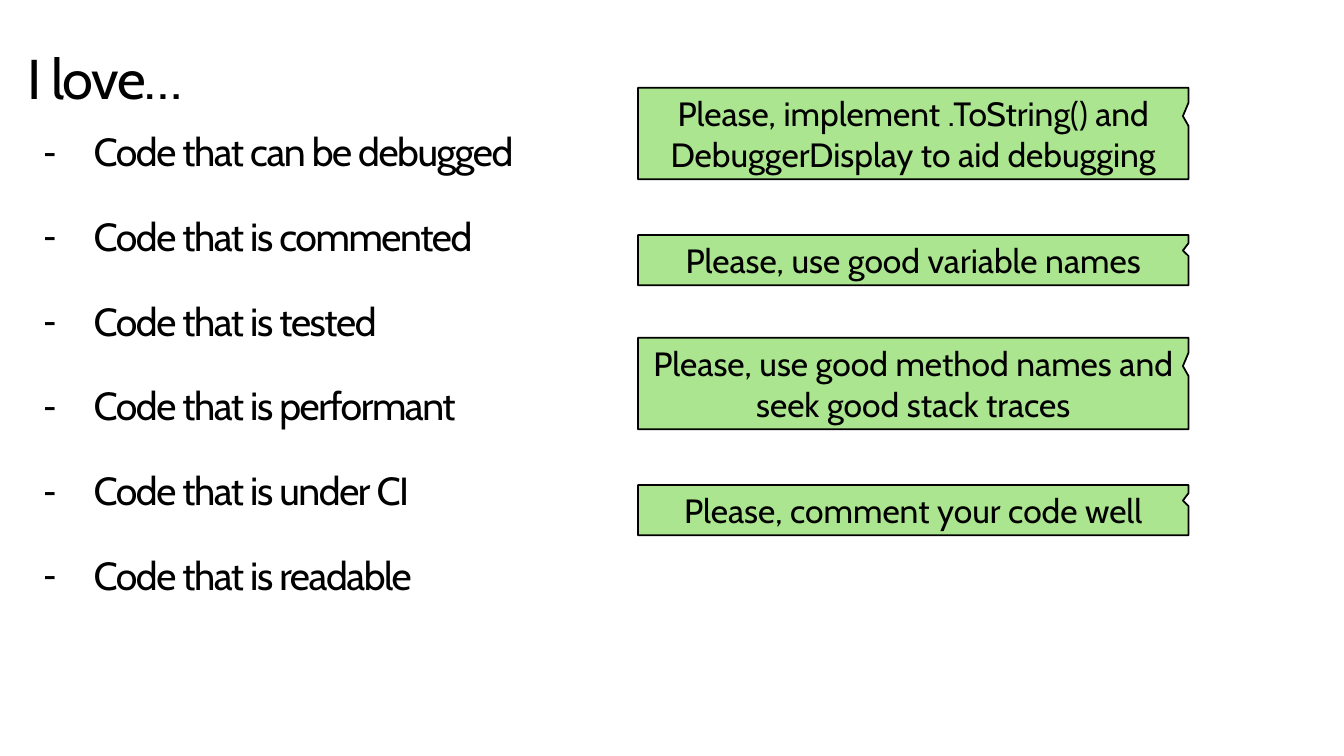
"""Build the slide about lovable code and the requests that go with it."""
from dataclasses import dataclass

from lxml.etree import SubElement
from pptx import Presentation
from pptx.dml.color import RGBColor
from pptx.enum.shapes import MSO_SHAPE
from pptx.enum.text import MSO_ANCHOR as Anchor, MSO_AUTO_SIZE as AutoSize, PP_ALIGN as Align
from pptx.oxml.ns import qn
from pptx.util import Cm, Pt

BLACK = RGBColor(0x00, 0x00, 0x00)
GREEN = RGBColor(0xAC, 0xE5, 0x8F)
FONT_NAME = "Cabin"
CALLOUT_LEFT, CALLOUT_WIDTH = 16.08, 13.87
ONE_LINE, TWO_LINES = 1.27, 2.31


@dataclass(frozen=True)
class Box:
    left: float
    top: float
    width: float
    height: float


@dataclass(frozen=True)
class Request:
    text: str
    top: float
    height: float


TITLE_BOX = Box(0.69, 1.3, 31.04, 1.55)
LIST_BOX = Box(1.09, 3.35, 12.6, 12.93)
QUALITIES = [
    "Code that can be debugged",
    "Code that is commented",
    "Code that is tested",
    "Code that is performant",
    "Code that is under CI",
    "Code that is readable",
]
REQUESTS = [
    Request("Please, implement .ToString() and DebuggerDisplay to aid debugging", 2.21, TWO_LINES),
    Request("Please, use good variable names", 5.92, ONE_LINE),
    Request("Please, use good method names and seek good stack traces", 8.51, TWO_LINES),
    Request("Please, comment your code well", 12.22, ONE_LINE),
]


def set_font(paragraph, size: float) -> None:
    paragraph.font.name = FONT_NAME
    paragraph.font.size = Pt(size)
    paragraph.font.color.rgb = BLACK


def prepare_placeholder(placeholder, box: Box):
    placeholder.left, placeholder.top = Cm(box.left), Cm(box.top)
    placeholder.width, placeholder.height = Cm(box.width), Cm(box.height)
    frame = placeholder.text_frame
    frame.margin_left = frame.margin_top = frame.margin_right = frame.margin_bottom = 0
    frame.vertical_anchor = Anchor.TOP
    frame.auto_size = AutoSize.NONE
    frame.word_wrap = True
    return frame


def write_tight(paragraph, text: str, size: float, space_before: float = 0) -> None:
    run = paragraph.add_run()
    run.text = text
    run._r.get_or_add_rPr().set("spc", "-100")
    paragraph.alignment = Align.LEFT
    paragraph.line_spacing = 0.9
    paragraph.space_before = Pt(space_before)
    set_font(paragraph, size)


def add_dash(paragraph) -> None:
    properties = paragraph._p.get_or_add_pPr()
    properties.set("marL", str(Cm(1.27)))
    properties.set("indent", str(-Cm(1.27)))
    SubElement(properties, qn("a:buChar")).set("char", "-")


def add_request(slide, request: Request) -> None:
    callout = slide.shapes.add_shape(
        MSO_SHAPE.RECTANGULAR_CALLOUT,
        Cm(CALLOUT_LEFT), Cm(request.top), Cm(CALLOUT_WIDTH), Cm(request.height),
    )
    callout.adjustments[0], callout.adjustments[1] = 0.49, -0.19
    callout.shadow.inherit = False
    callout.fill.solid()
    callout.fill.fore_color.rgb = GREEN
    callout.line.color.rgb = BLACK
    callout.line.width = Pt(1.25)
    frame = callout.text_frame
    frame.word_wrap = True
    frame.vertical_anchor = Anchor.MIDDLE
    paragraph = frame.paragraphs[0]
    paragraph.text = request.text
    paragraph.alignment = Align.CENTER
    set_font(paragraph, 24)


def main() -> None:
    presentation = Presentation()
    presentation.slide_width, presentation.slide_height = Cm(33.87), Cm(19.05)
    slide = presentation.slides.add_slide(presentation.slide_layouts[1])

    title_frame = prepare_placeholder(slide.shapes.title, TITLE_BOX)
    write_tight(title_frame.paragraphs[0], "I love…", 40)

    list_frame = prepare_placeholder(slide.placeholders[1], LIST_BOX)
    for index, quality in enumerate(QUALITIES):
        paragraph = list_frame.add_paragraph() if index else list_frame.paragraphs[0]
        add_dash(paragraph)
        write_tight(paragraph, quality, 28, space_before=30.25 if index else 0)

    for request in REQUESTS:
        add_request(slide, request)

    presentation.save("out.pptx")


if __name__ == "__main__":
    main()
